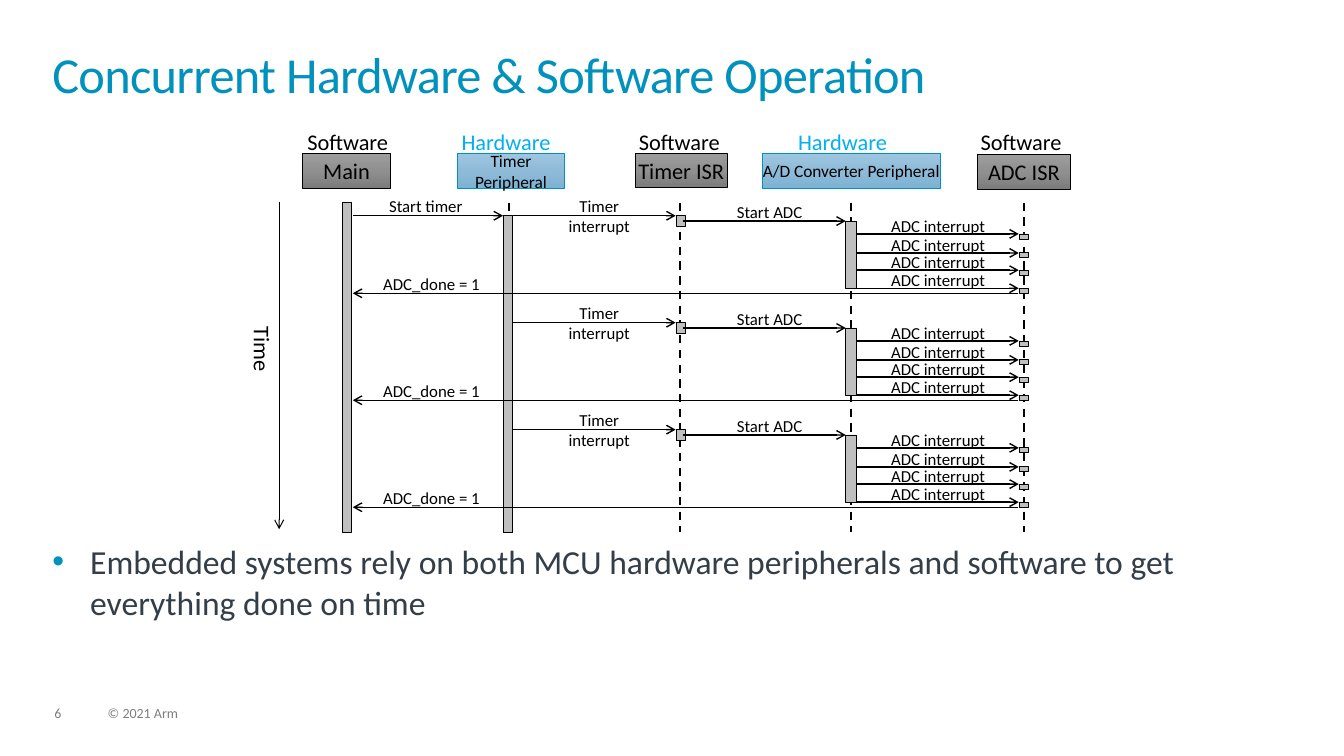
import copy

import pptx
import pptx.dml.color
import pptx.enum.dml
import pptx.enum.shapes
import pptx.enum.text
import pptx.oxml.ns
import pptx.util
from lxml import etree

Pt = pptx.util.Pt
rgb = pptx.dml.color.RGBColor.from_string
qn = pptx.oxml.ns.qn
LEFT = pptx.enum.text.PP_ALIGN.LEFT
CENTER = pptx.enum.text.PP_ALIGN.CENTER
RECTANGLE = pptx.enum.shapes.MSO_SHAPE.RECTANGLE
STRAIGHT = pptx.enum.shapes.MSO_CONNECTOR.STRAIGHT

presentation = pptx.Presentation()
presentation.slide_width = Pt(960)
presentation.slide_height = Pt(540)
slide = presentation.slides.add_slide(presentation.slide_layouts[6])
shapes = slide.shapes


def write_text(shape, text, size, color, align=LEFT, inset=(0, 0), wrap=False):
    frame = shape.text_frame
    frame.margin_left = frame.margin_right = Pt(inset[0])
    frame.margin_top = frame.margin_bottom = Pt(inset[1])
    frame.word_wrap = wrap
    paragraph = frame.paragraphs[0]
    paragraph.alignment = align
    run = paragraph.add_run()
    run.text = text
    run.font.size = Pt(size)
    run.font.name = "Calibri"
    run.font.color.rgb = rgb(color)
    return paragraph


def add_line(x1, y1, x2, y2, width=1, arrow=True):
    connector = shapes.add_connector(STRAIGHT, Pt(x1), Pt(y1), Pt(x2), Pt(y2))
    connector.line.color.rgb = rgb("000000")
    connector.line.width = Pt(width)
    if arrow:
        etree.SubElement(connector.line._get_or_add_ln(), qn("a:tailEnd"), type="arrow")
    else:
        connector.line.dash_style = pptx.enum.dml.MSO_LINE.DASH
    etree.SubElement(connector._element.spPr, qn("a:effectLst"))


# Footer
for x, width, text in [(38.9, 24.5, "6"), (77, 365, "© 2021 Arm")]:
    footer = shapes.add_textbox(Pt(x), Pt(504.7), Pt(width), Pt(10.8))
    write_text(footer, text, 10, "7F7F7F", wrap=True).line_spacing = 0.9

# Title
title = shapes.add_textbox(Pt(37.4), Pt(37.4), Pt(884), Pt(51.8))
paragraph = write_text(title, "Concurrent Hardware & Software Operation", 36, "0091BD", wrap=True)
paragraph.line_spacing = 0.85
paragraph.runs[0]._r.get_or_add_rPr().set("spc", "-50")

# Bullet
body = shapes.add_textbox(Pt(37.4), Pt(386.6), Pt(884), Pt(95))
paragraph = write_text(
    body,
    "Embedded systems rely on both MCU hardware peripherals and software "
    "to get everything done on time",
    24, "333E48", wrap=True)
properties = paragraph._p.get_or_add_pPr()
properties.set("marL", str(Pt(27)))
properties.set("indent", str(Pt(-27)))
bullet_color = etree.SubElement(properties, qn("a:buClr"))
etree.SubElement(bullet_color, qn("a:srgbClr"), val="0091BD")
etree.SubElement(properties, qn("a:buFont"), typeface="Arial")
etree.SubElement(properties, qn("a:buChar"), char="•")

# Lifelines
for x in (249.1, 363.6, 486, 607.7, 731.5):
    add_line(x, 144.7, x, 380, 1.5, arrow=False)

# Participants: kind left, box left, top, width, name, size
kinds = {
    "Software": ("000000", "000000", 72.7, ("9D9D9D", "909090", "7C7C7C")),
    "Hardware": ("00B0F0", "0091BD", 79.9, ("9DC6E1", "90BBD8", "7CB2D3")),
}
participants = [
    ("Software", 212.4, 216, 109.6, 63, "Main", 16),
    ("Hardware", 322.6, 327, 109.6, 76, "Timer Peripheral", 12.4),
    ("Software", 449.3, 453.6, 109.2, 66, "Timer ISR", 16),
    ("Hardware", 563, 544.3, 109.6, 127.6, "A/D Converter Peripheral", 12.4),
    ("Software", 693.4, 698.4, 110.3, 66, "ADC ISR", 16),
]
for kind, kind_left, left, top, width, name, size in participants:
    kind_color, outline, kind_width, gradient = kinds[kind]
    caption = shapes.add_textbox(Pt(kind_left), Pt(87.8), Pt(kind_width), Pt(26.6))
    write_text(caption, kind, 16, kind_color, inset=(7.2, 3.6))

    header = shapes.add_shape(RECTANGLE, Pt(left), Pt(top), Pt(width), Pt(24.7))
    header.shadow.inherit = False
    header.line.color.rgb = rgb(outline)
    header.line.width = Pt(0.5)
    header.fill.gradient()
    header.fill.gradient_angle = 270
    stop_list = header._element.spPr.find(qn("a:gradFill")).find(qn("a:gsLst"))
    stop_list.insert(1, copy.deepcopy(stop_list[0]))
    for stop, position, color in zip(header.fill.gradient_stops, (0, 0.5, 1), gradient):
        stop.position = position
        stop.color.rgb = rgb(color)
    header.text_frame.vertical_anchor = pptx.enum.text.MSO_ANCHOR.MIDDLE
    write_text(header, name, size, "000000", CENTER, wrap=True)

# Time axis
time_label = shapes.add_textbox(Pt(163.4), Pt(236.9), Pt(48.2), Pt(26.6))
time_label.rotation = 90
write_text(time_label, "Time", 16, "000000", inset=(7.2, 3.6))
add_line(199.4, 144, 199.4, 378, 0.75)

# Bars, arrows and labels; the same cycle runs three times
bars = [(244.8, 144.7, 6.5, 235.4), (359.5, 154.1, 6.5, 226.1)]
arrows = [(252, 154.1, 359.3, 154.1)]
labels = [(277.9, 139.7, 54, "Start timer", LEFT)]
for cycle in range(3):
    start = 154.1 + 76.4 * cycle
    adc_start = start + 3.8
    done = start + 55.4
    bars += [(483.1, start, 6.5, 7.9), (604.1, adc_start, 7.9, 48.2)]
    arrows += [(366.3, start, 482.6, start),
               (488.2, adc_start, 604.1, adc_start),
               (727.4, done, 252, done)]
    labels += [(401, start - 14.4, 54, "Timer interrupt", CENTER),
               (522.7, adc_start - 14, 54, "Start ADC", CENTER),
               (269.3, done - 13.7, 77.8, "ADC_done = 1", CENTER)]
    for index, offset in enumerate((13, 26.6, 38.9, 51.8)):
        bars.append((727.9, start + 13 * (index + 1), 6.5, 3.6))
        arrows.append((611.5, start + offset, 727.7, start + offset))
        labels.append((631.2, start + offset - 13.2, 77.8, "ADC interrupt", CENTER))

for left, top, width, height in bars:
    bar = shapes.add_shape(RECTANGLE, Pt(left), Pt(top), Pt(width), Pt(height))
    bar.shadow.inherit = False
    bar.fill.solid()
    bar.fill.fore_color.rgb = rgb("BFBFBF")
    bar.line.color.rgb = rgb("000000")
    bar.line.width = Pt(0.5)
for ends in arrows:
    add_line(*ends)
for left, top, width, text, align in labels:
    label = shapes.add_textbox(Pt(left), Pt(top), Pt(width), Pt(14))
    write_text(label, text, 12, "000000", align)

presentation.save("out.pptx")
